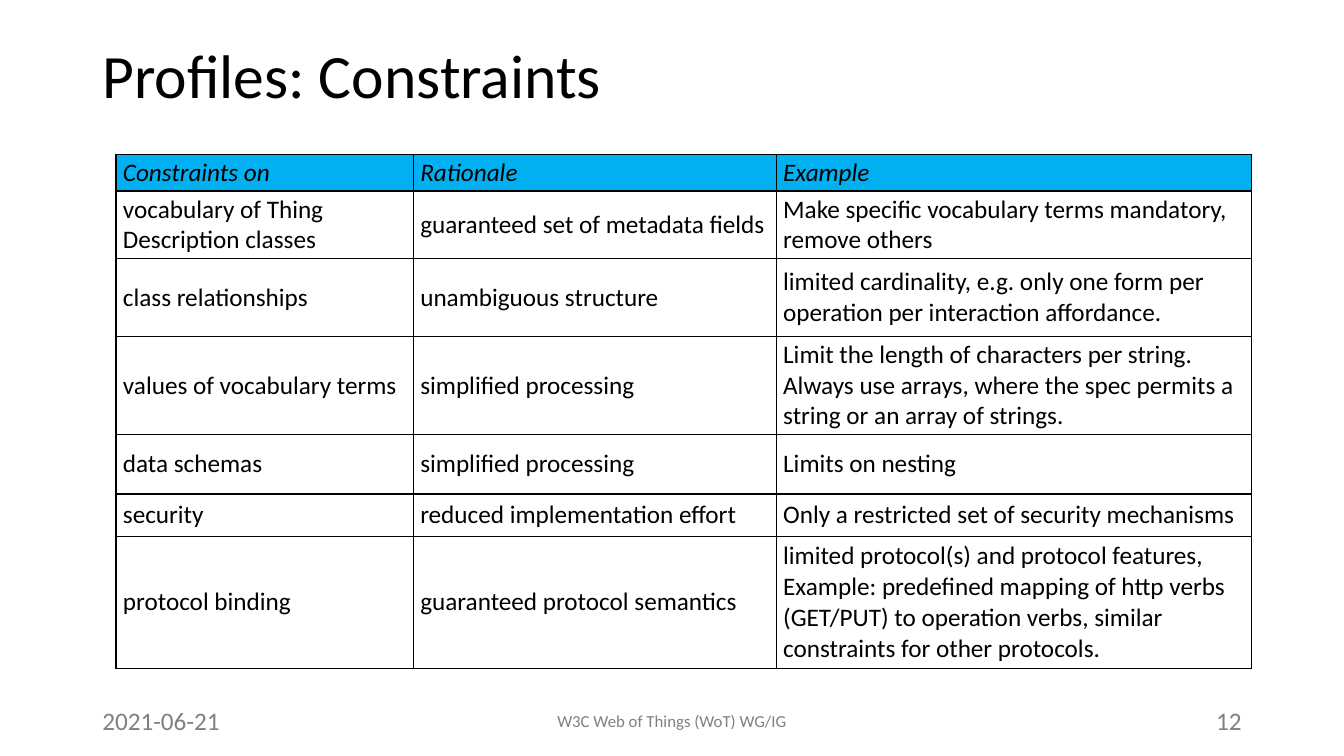
from dataclasses import dataclass

from lxml import etree
from pptx import Presentation
from pptx import util as u
from pptx.dml.color import RGBColor
from pptx.enum import text
from pptx.oxml import ns


@dataclass(frozen=True)
class Theme:
    face: str = "Calibri"
    ink: str = "000000"
    grey: str = "808080"
    head: str = "00B0F0"
    big: int = 44
    body: int = 18
    small: int = 12
    rule: int = 1


THEME = Theme()
UNIT = u.Inches(1) / 12
WIDE, HIGH = 160, 90
LEFT, SPAN = 11, 138
FOOT, DEEP = 83.4, 4.8
COLS = (35.4, 43.2, 56.64)
ROWS = (2.88, 7.08, 9.24, 11.4, 7.08, 5.04, 15.72)
DATA = (
    ("Constraints on", "Rationale", "Example"),
    ("vocabulary of Thing Description classes",
     "guaranteed set of metadata fields",
     "Make specific vocabulary terms mandatory, remove others"),
    ("class relationships", "unambiguous structure",
     "limited cardinality, e.g. only one form per operation per interaction affordance."),
    ("values of vocabulary terms", "simplified processing",
     "Limit the length of characters per string. Always use arrays, where the spec "
     "permits a string or an array of strings."),
    ("data schemas", "simplified processing", "Limits on nesting"),
    ("security", "reduced implementation effort",
     "Only a restricted set of security mechanisms"),
    ("protocol binding", "guaranteed protocol semantics",
     "limited protocol(s) and protocol features, Example: predefined mapping of http "
     "verbs (GET/PUT) to operation verbs, similar constraints for other protocols."),
)


def grid(*vals):
    return [u.Emu(round(val * UNIT)) for val in vals]


def apply(item, form):
    for key, val in form.items():
        setattr(item, key, val)


def write(frame, words, size, tint, align=text.PP_ALIGN.LEFT, **form):
    frame.text = words
    para = frame.paragraphs[0]
    para.alignment = align
    font = para.runs[0].font
    apply(font, {"name": THEME.face, "size": u.Pt(size), "bold": False, **form})
    font.color.rgb = RGBColor.from_string(tint)
    return para


def add_title(slide, words):
    title = slide.shapes.title
    place = grid(LEFT, 4.8, SPAN, 17.4)
    apply(title, dict(zip(("left", "top", "width", "height"), place)))
    frame = title.text_frame
    apply(frame, {"vertical_anchor": text.MSO_ANCHOR.TOP, "word_wrap": True,
                  "auto_size": text.MSO_AUTO_SIZE.NONE})
    write(frame, words, THEME.big, THEME.ink).line_spacing = 0.9


def add_edges(cell):
    props = cell._tc.get_or_add_tcPr()
    for spot, side in enumerate(("lnL", "lnR", "lnT", "lnB")):
        line = etree.Element(ns.qn("a:" + side), w=str(u.Pt(THEME.rule)))
        fill = etree.SubElement(line, ns.qn("a:solidFill"))
        etree.SubElement(fill, ns.qn("a:srgbClr"), val=THEME.ink)
        props.insert(spot, line)


def fill_cell(cell, words, head):
    side, edge = u.Inches(0.07), u.Inches(0.03)
    apply(cell, {"margin_left": side, "margin_right": side, "margin_top": edge,
                 "margin_bottom": edge, "vertical_anchor": text.MSO_ANCHOR.MIDDLE})
    if head:
        cell.fill.solid()
        cell.fill.fore_color.rgb = RGBColor.from_string(THEME.head)
    else:
        cell.fill.background()
    write(cell.text_frame, words, THEME.body, THEME.ink, italic=head)
    add_edges(cell)


def add_rules(slide, data):
    place = grid(13.8, 18.36, sum(COLS), sum(ROWS))
    table = slide.shapes.add_table(len(ROWS), len(COLS), *place).table
    apply(table, {"first_row": False, "horz_banding": False})
    for col, size in zip(table.columns, grid(*COLS)):
        col.width = size
    for row, size in zip(table.rows, grid(*ROWS)):
        row.height = size
    for r, line in enumerate(data):
        for c, words in enumerate(line):
            fill_cell(table.cell(r, c), words, r == 0)


def add_foot(slide, words, left, width, size, align):
    frame = slide.shapes.add_textbox(*grid(left, FOOT, width, DEEP)).text_frame
    apply(frame, {"word_wrap": True, "vertical_anchor": text.MSO_ANCHOR.MIDDLE})
    write(frame, words, size, THEME.grey, align)


def main():
    deck = Presentation()
    apply(deck, dict(zip(("slide_width", "slide_height"), grid(WIDE, HIGH))))
    slide = deck.slides.add_slide(deck.slide_layouts.get_by_name("Title Only"))
    add_title(slide, "Profiles: Constraints")
    add_rules(slide, DATA)
    side, mid = 36, 54
    add_foot(slide, "W3C Web of Things (WoT) WG/IG", (WIDE - mid) / 2, mid,
             THEME.small, text.PP_ALIGN.CENTER)
    add_foot(slide, "12", LEFT + SPAN - side, side, THEME.body, text.PP_ALIGN.RIGHT)
    add_foot(slide, "2021-06-21", LEFT, side, THEME.body, text.PP_ALIGN.LEFT)
    deck.save("out.pptx")


if __name__ == "__main__":
    main()
